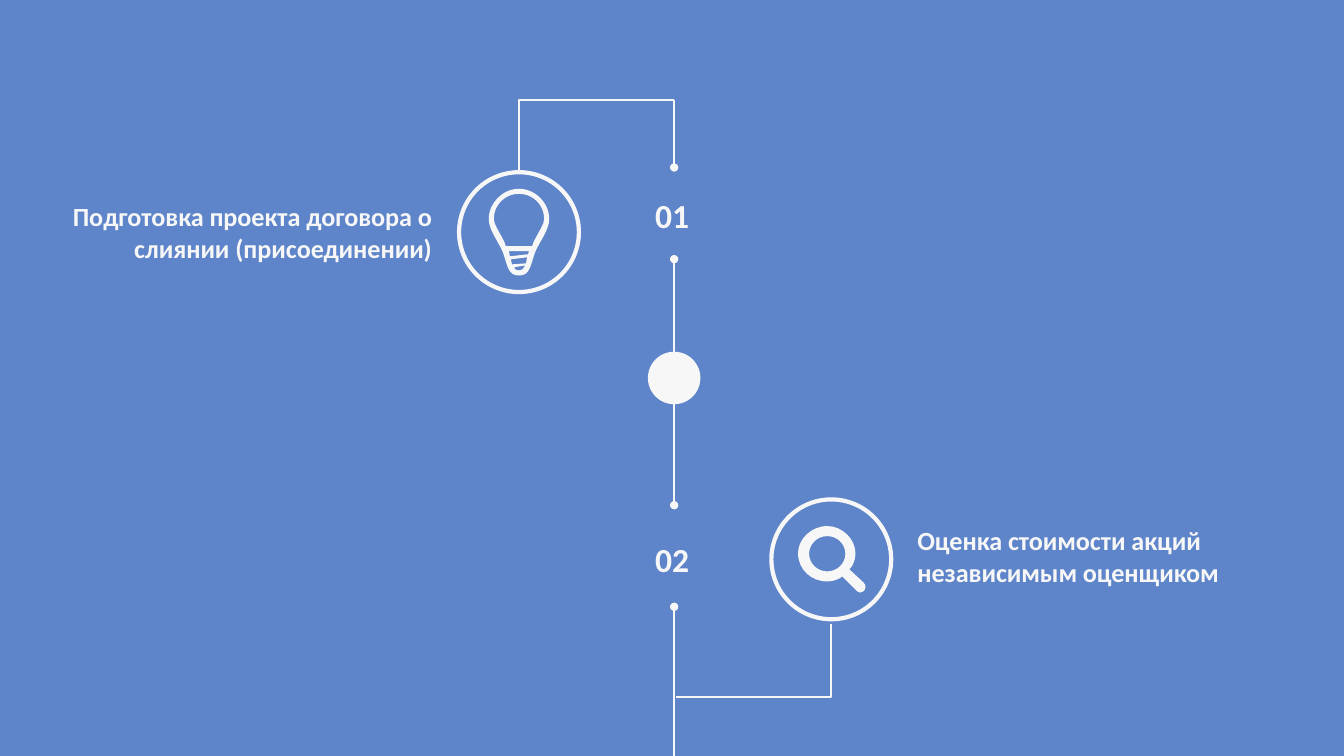
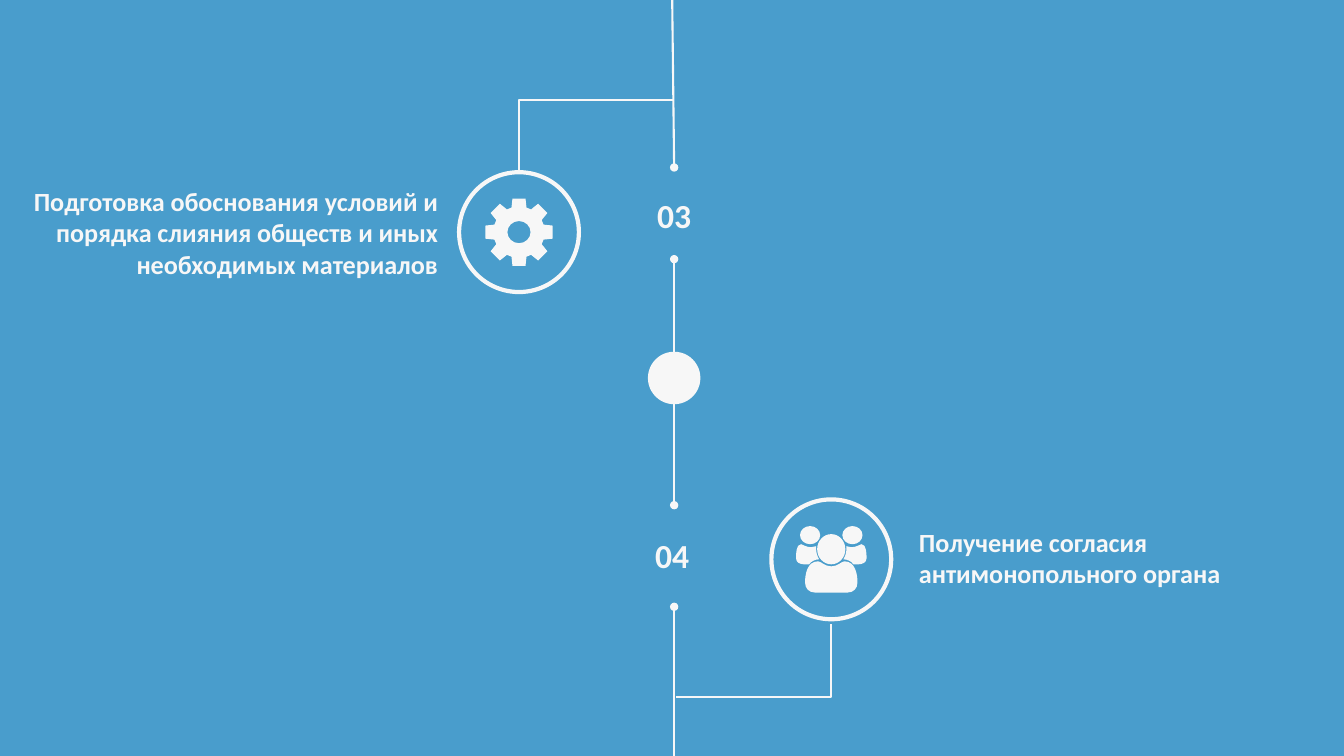
from dataclasses import dataclass
from math import cos, radians, sin
from typing import Callable

from lxml import etree
from pptx import Presentation
from pptx.dml.color import RGBColor
from pptx.enum.shapes import MSO_CONNECTOR, MSO_SHAPE
from pptx.enum.text import MSO_ANCHOR, PP_ALIGN
from pptx.oxml.ns import qn
from pptx.util import Cm, Pt

STRAIGHT, ELBOW = MSO_CONNECTOR.STRAIGHT, MSO_CONNECTOR.ELBOW
OVAL, RECTANGLE = MSO_SHAPE.OVAL, MSO_SHAPE.RECTANGLE
MIDDLE = MSO_ANCHOR.MIDDLE
LEFT, RIGHT = PP_ALIGN.LEFT, PP_ALIGN.RIGHT

WHITE = RGBColor(0xF7, 0xF7, 0xF7)
INDIGO = RGBColor(0x5E, 0x85, 0xCA)
SKY = RGBColor(0x49, 0x9D, 0xCC)
FONT = "Calibri"
THIN, THICK = Pt(1.5), Pt(3)

WIDTH, HEIGHT = 33.87, 19.05
HALF = HEIGHT / 2
SPINE = 16.99
HUB = 1.27
RING = 3.02
NUMBER_SIZE = (0.86, 1.02)
ICON_UNIT = Cm(0.0254)
ARC = 0.55


@dataclass
class Step:
    """Content of one step, with positions relative to its half of the slide."""
    number: str
    number_at: tuple
    text: str
    text_box: tuple
    icon: Callable


def pairs(numbers):
    """Split a flat sequence into points."""
    return list(zip(numbers[::2], numbers[1::2]))


def mirror(contour):
    """Reflect a contour of lines (pairs) and cubic curves (six numbers)."""
    result = [(-contour[-1][-2], contour[-1][-1])]
    for before, segment in reversed(list(zip(contour, contour[1:]))):
        points = pairs(before[-2:] + segment)[:-1]
        result.append(tuple(value for x, y in reversed(points) for value in (-x, y)))
    return result


def symmetric(half):
    """Join a half contour to its reflection."""
    return half + mirror(half)


def polar(radius, angle):
    """Return the point at an angle in degrees."""
    return radius * cos(radians(angle)), radius * sin(radians(angle))


def disc(x, y, radius_x, radius_y):
    """Return the contour of an ellipse."""
    top, bottom = y - radius_y, y + radius_y
    left, right = x - radius_x, x + radius_x
    across, down = ARC * radius_x, ARC * radius_y
    return [(x, top), (x + across, top, right, y - down, right, y),
            (right, y + down, x + across, bottom, x, bottom),
            (x - across, bottom, left, y + down, left, y),
            (left, y - down, x - across, top, x, top)]


def bulb():
    """Return the contours of a light bulb."""
    glass = symmetric([(0, -43), (-16, -43, -30, -29, -30, -13),
                       (-30, -2, -20, 10, -16, 20), (-11, 34, -11, 43, 0, 43)])
    hollow = symmetric([(0, -38), (-14, -38, -25, -27, -25, -13),
                        (-25, -8, -20, -1, -17, 5), (-15, 8, -14, 11, -13, 14)])
    upper_thread = [(-9, 24), (-10, 19), (10, 19), (9, 22)]
    lower_thread = [(7, 31), (-7, 32), (-8, 27), (8, 25)]
    tip = [(-5, 35), (6, 33), (4, 37, 3, 38, 0, 38), (-3, 38, -4, 37, -5, 35)]
    return [glass, hollow, upper_thread, lower_thread, tip]


def magnifier():
    """Return the contours of a magnifying glass."""
    body = [(29, 33), (27, 33, 26, 32, 25, 31), (11, 17),
            (7, 20, 2, 22, -4, 22), (-20, 22, -33, 10, -33, -6),
            (-33, -20, -20, -33, -4, -33), (11, -33, 24, -20, 24, -6),
            (24, 0, 22, 6, 18, 10), (32, 23),
            (33, 24, 34, 26, 34, 27), (34, 31, 31, 33, 29, 33)]
    return [body, disc(-4, -5.5, 18, 17.5)]


def gear():
    """Return the contours of a gear with eight teeth."""
    tooth = ((25.5, -17), (34, -11), (34, 11), (25.5, 17))
    teeth = [polar(radius, centre + angle)
             for centre in range(0, 360, 45) for radius, angle in tooth]
    return [teeth, disc(0, 0, 11.5, 11)]


def people():
    """Return the contours of a group of three people."""
    side_body = [(-22, 5), (-27, 5), (-31, 5, -35, 3, -35, -1),
                 (-35, -5, -35, -15, -30, -15), (-29, -15, -25, -12, -20, -12),
                 (-18, -12, -17, -12, -15, -13), (-15, -12, -15, -11, -15, -10),
                 (-15, -7, -14, -3, -12, 0), (-16, 0, -20, 2, -22, 5)]
    side_head = disc(-21, -24, 10, 9)
    body = symmetric([(0, 33), (-16, 33), (-22, 33, -26, 29, -26, 23),
                      (-26, 15, -24, 2, -13, 2), (-10, 2, -7, 7, 0, 7)])
    return [side_body, mirror(side_body), side_head, mirror(side_head),
            body, disc(0, -10, 14, 15)]


def bend(outline, contours):
    """Turn each run of three lines that stands for a curve into a cubic."""
    lines = iter(outline.findall(qn("a:lnTo")))
    for segment in (part for contour in contours for part in contour[1:]):
        run = [next(lines) for _ in pairs(segment)]
        if len(run) == 3:
            curve = etree.Element(qn("a:cubicBezTo"))
            run[0].addprevious(curve)
            for line in run:
                curve.append(line[0])
                outline.remove(line)


def add_icon(page, x, y, contours):
    """Draw an icon as one freeform centred on a point."""
    scaled = [[(px * ICON_UNIT, py * ICON_UNIT)
               for segment in contour for px, py in pairs(segment)]
              for contour in contours]
    builder = page.shapes.build_freeform(*scaled[0][0])
    for index, points in enumerate(scaled):
        if index:
            builder.move_to(*points[0])
        builder.add_line_segments(points[1:], close=True)
    icon = builder.convert_to_shape(Cm(x), Cm(y))
    bend(next(icon.element.iter(qn("a:path"))), contours)
    icon.shadow.inherit = False
    icon.fill.solid()
    icon.fill.fore_color.rgb = WHITE
    icon.line.fill.background()


def add_circle(page, x, y, diameter, weight, filled):
    """Draw a white circle centred on a point."""
    radius = diameter / 2
    circle = page.shapes.add_shape(OVAL, Cm(x - radius), Cm(y - radius),
                                   Cm(diameter), Cm(diameter))
    circle.shadow.inherit = False
    if filled:
        circle.fill.solid()
        circle.fill.fore_color.rgb = WHITE
    else:
        circle.fill.background()
    circle.line.color.rgb = WHITE
    circle.line.width = weight


def add_line(page, start, end, kind=STRAIGHT, dots=()):
    """Draw a thin connector with round dots at the named ends."""
    line = page.shapes.add_connector(kind, *(Cm(value) for value in (*start, *end)))
    line.line.color.rgb = WHITE
    line.line.width = THIN
    properties = line.element.spPr
    for dot in dots:
        etree.SubElement(properties.find(qn("a:ln")), qn(f"a:{dot}"), type="oval")
    etree.SubElement(properties, qn("a:effectLst"))
    if kind == ELBOW:
        properties.find(qn("a:prstGeom")).set("prst", "bentConnector2")


def add_text(page, box, text, size, align=LEFT, wrap=True):
    """Place bold white text, centred vertically in its box."""
    frame = page.shapes.add_textbox(*(Cm(value) for value in box)).text_frame
    frame.margin_left = frame.margin_right = frame.margin_top = frame.margin_bottom = 0
    frame.word_wrap = wrap
    frame.vertical_anchor = MIDDLE
    para = frame.paragraphs[0]
    para.text = text
    para.alignment = align
    para.font.name = FONT
    para.font.size = Pt(size)
    para.font.bold = True
    para.font.color.rgb = WHITE


def add_step(page, top, step, ring_at, branch, align):
    """Place number, ringed icon, branch and label in the half starting at top."""
    x, y = ring_at[0], top + ring_at[1]
    branch_x, branch_y, branch_end = branch
    number_x, number_y = step.number_at
    add_text(page, (number_x, top + number_y, *NUMBER_SIZE), step.number, 24, wrap=False)
    add_circle(page, x, y, RING, THICK, filled=False)
    add_icon(page, x, y, step.icon())
    left, label_y, width, height = step.text_box
    add_text(page, (left, top + label_y, width, height), step.text, 18.67, align)
    add_line(page, (branch_x, top + branch_y), (x, top + branch_end), ELBOW)


def add_backdrop(page, colour):
    """Cover the page with one colour."""
    page.background.fill.solid()
    page.background.fill.fore_color.rgb = WHITE
    backdrop = page.shapes.add_shape(RECTANGLE, 0, 0, Cm(WIDTH), Cm(HEIGHT))
    backdrop.shadow.inherit = False
    backdrop.fill.solid()
    backdrop.fill.fore_color.rgb = colour
    backdrop.line.fill.background()


def add_spine(page, start):
    """Draw the central line from its start to the foot of the slide."""
    both = ("headEnd", "tailEnd")
    add_line(page, (SPINE, 15.29), (SPINE, HEIGHT), dots=("headEnd",))
    add_line(page, (SPINE, HALF), (SPINE, 12.73), dots=both)
    add_line(page, (SPINE, 6.53), (SPINE, HALF), dots=both)
    add_line(page, start, (SPINE, 4.22), dots=("tailEnd",))
    add_circle(page, SPINE, HALF, HUB, THIN, filled=True)


def add_steps_slide(deck, colour, spine_start, upper, lower):
    """Add a slide with one step in each half."""
    page = deck.slides.add_slide(deck.slide_layouts[6])
    add_backdrop(page, colour)
    add_spine(page, spine_start)
    add_step(page, 0, upper, (13.08, 5.85), (SPINE, 2.51, 4.37), RIGHT)
    add_step(page, HALF, lower, (20.95, 4.57), (17.04, 8.05, 6.2), LEFT)


def main():
    """Build and save the deck."""
    deck = Presentation()
    deck.slide_width, deck.slide_height = Cm(WIDTH), Cm(HEIGHT)
    add_steps_slide(
        deck, INDIGO, (SPINE, 2.51),
        Step("01", (16.51, 4.9), "Подготовка проекта договора о слиянии (присоединении)",
             (1.3, 5.05, 9.58, 1.6), bulb),
        Step("02", (16.51, 4.05), "Оценка стоимости акций независимым оценщиком",
             (23.12, 3.69, 9.58, 1.6), magnifier))
    add_steps_slide(
        deck, SKY, (16.94, 0),
        Step("03", (16.56, 4.9),
             "Подготовка обоснования условий и порядка слияния обществ и иных "
             "необходимых материалов", (0.64, 4.66, 10.39, 2.39), gear),
        Step("04", (16.51, 3.95), "Получение согласия антимонопольного органа",
             (23.16, 3.73, 10.62, 1.6), people))
    deck.save("out.pptx")


if __name__ == "__main__":
    main()
